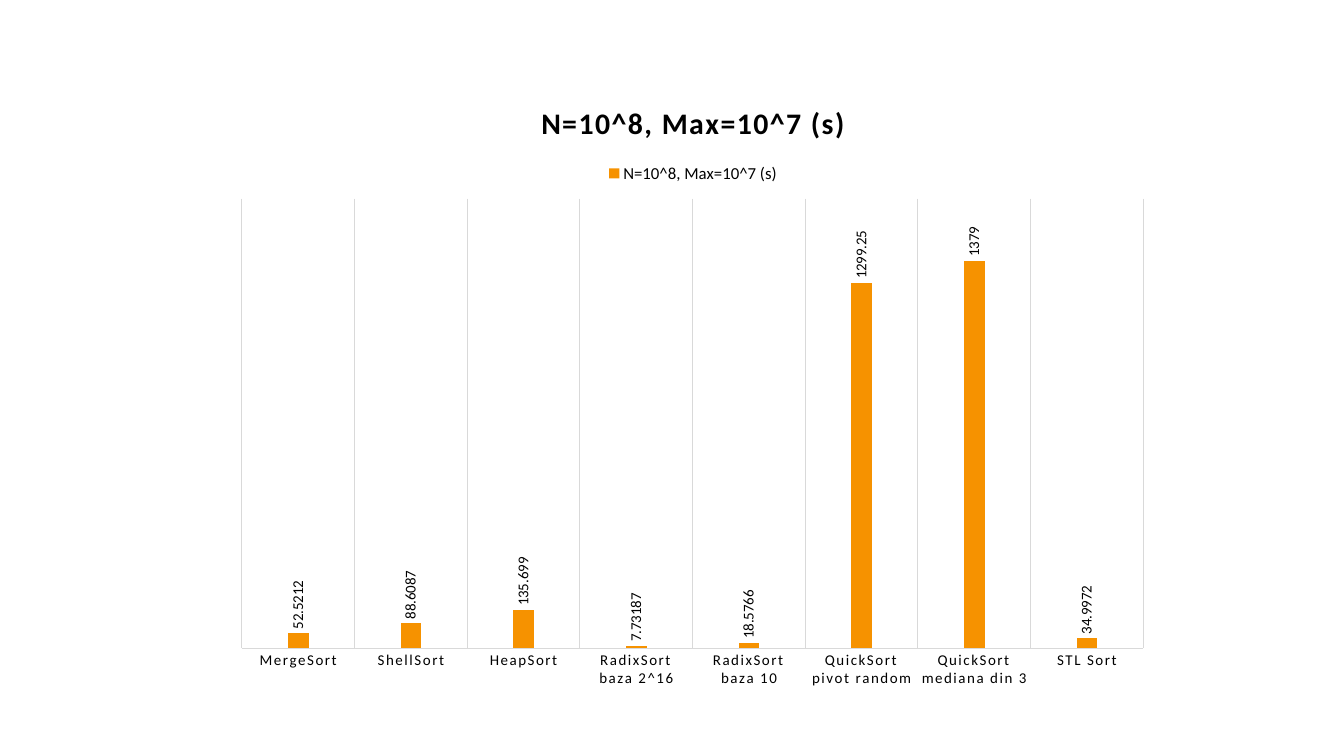
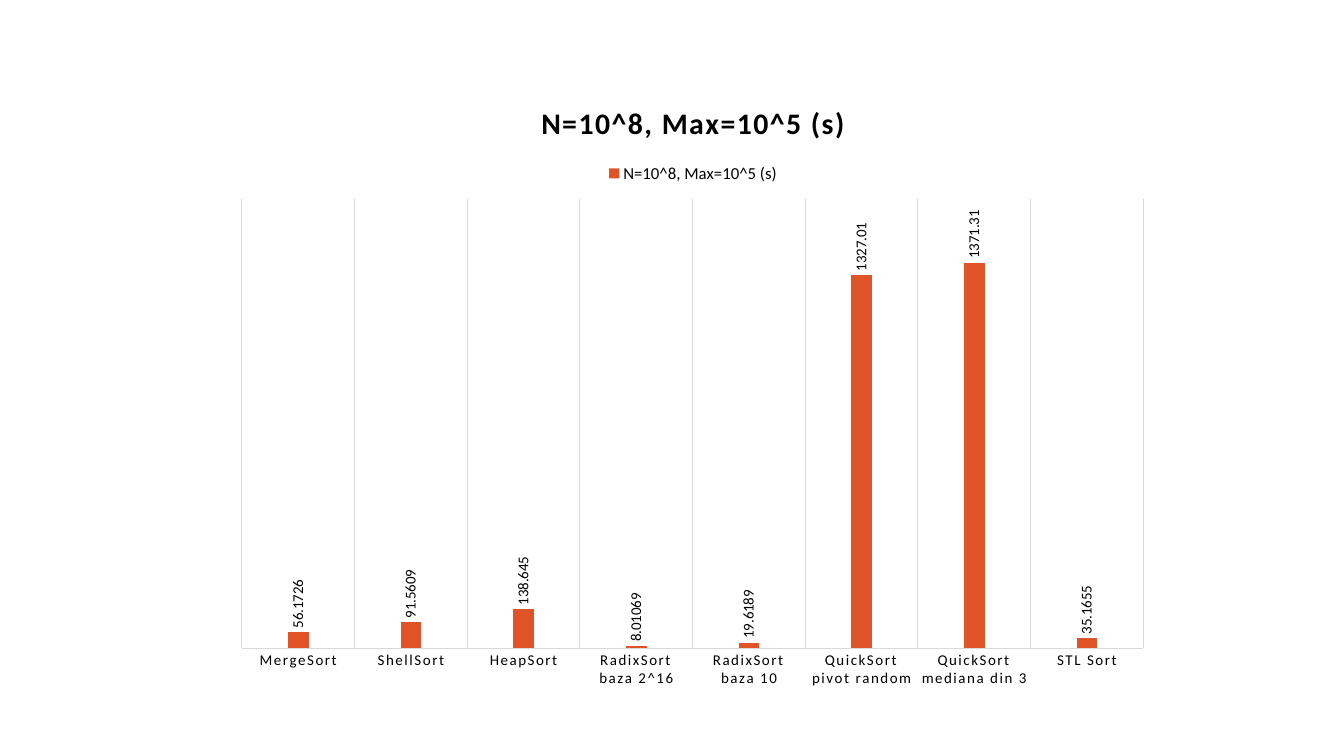
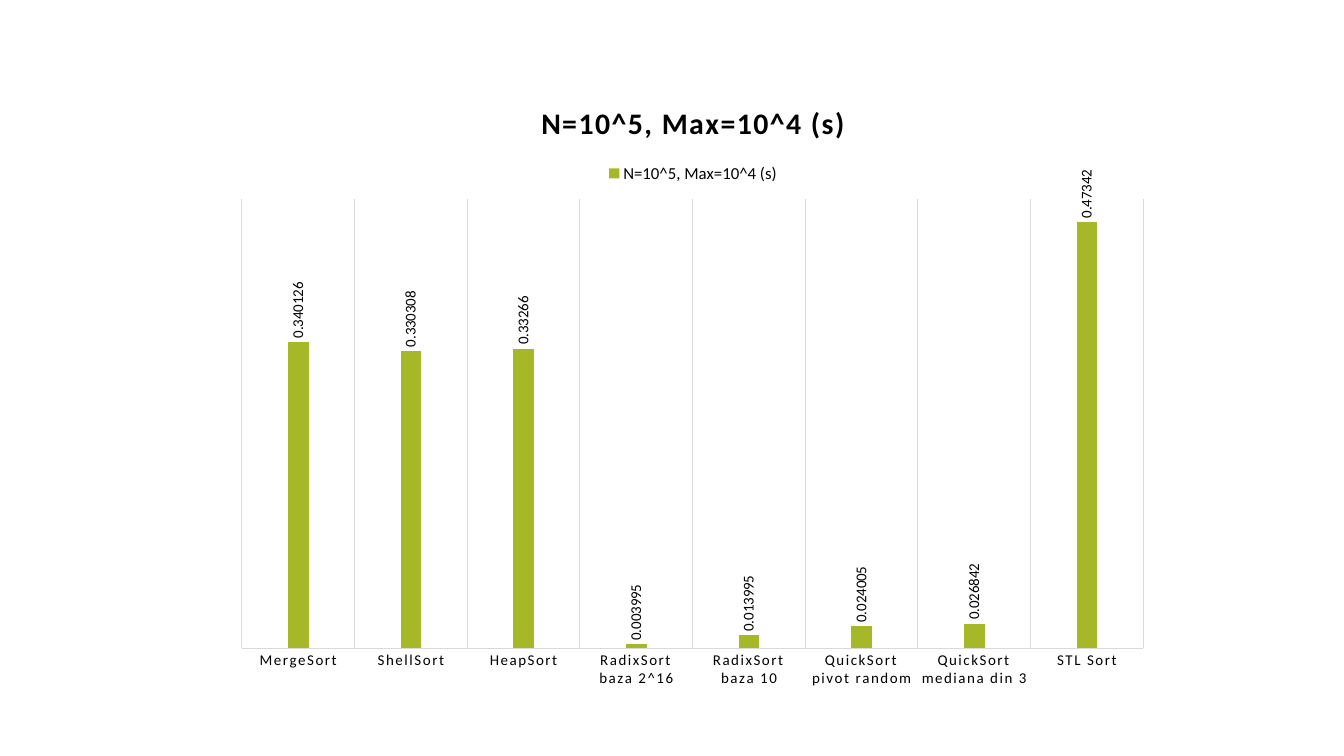
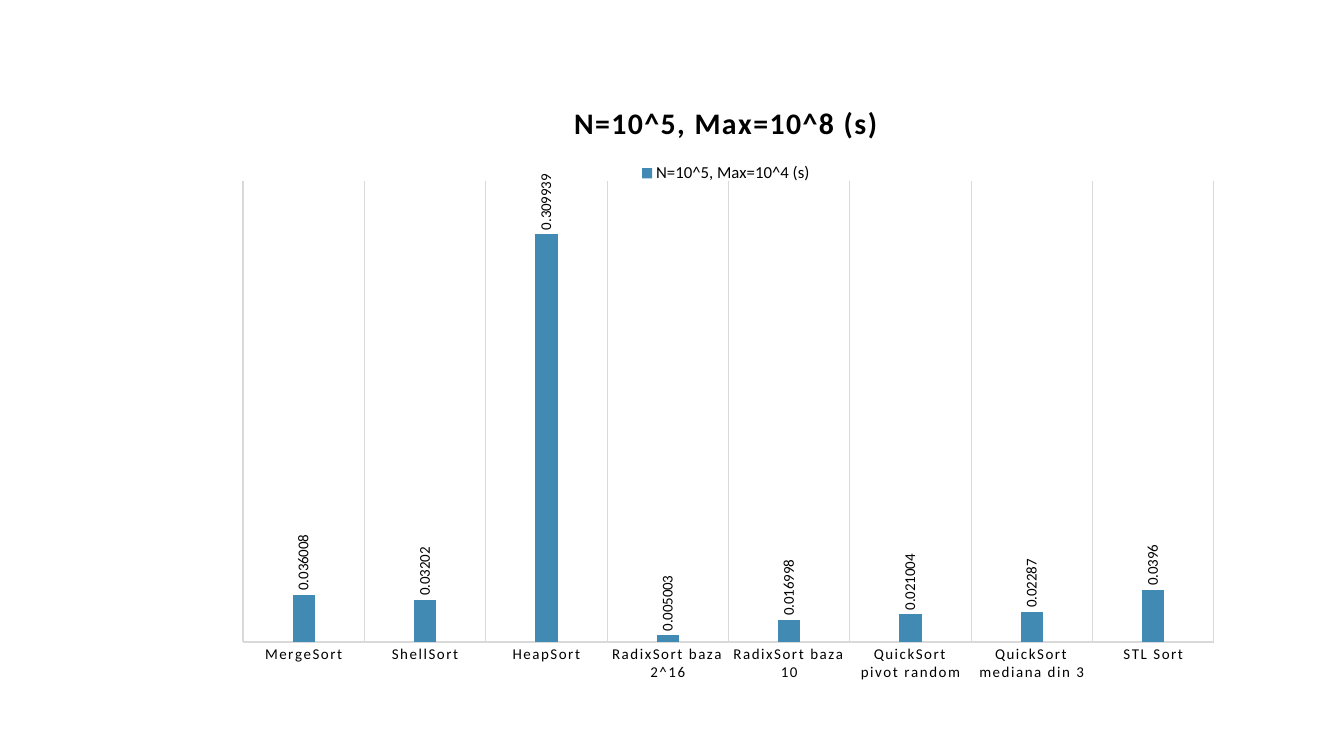
from dataclasses import dataclass

from lxml.etree import SubElement
from pptx import Presentation
from pptx.chart.chart import Chart
from pptx.chart.data import CategoryChartData
from pptx.dml.color import RGBColor
from pptx.enum.chart import XL_CHART_TYPE, XL_LABEL_POSITION, XL_LEGEND_POSITION, XL_TICK_MARK
from pptx.oxml.ns import qn
from pptx.slide import Slide
from pptx.text.text import Font, TextFrame
from pptx.util import Inches, Pt

BLACK = RGBColor(0x00, 0x00, 0x00)
GREY = RGBColor(0xD9, 0xD9, 0xD9)
ORANGE = RGBColor(0xF6, 0x92, 0x00)
RED = RGBColor(0xDF, 0x53, 0x27)
GREEN = RGBColor(0xA6, 0xB7, 0x27)
BLUE = RGBColor(0x41, 0x8A, 0xB3)
FACE = "Calibri"
SMALL = 10.64
LARGE = 21.28
SORTS = (
    "MergeSort", "ShellSort", "HeapSort", "RadixSort baza 2^16", "RadixSort baza 10",
    "QuickSort pivot random", "QuickSort mediana din 3", "STL Sort",
)


@dataclass(frozen=True)
class Frame:
    """Chart size and its inner plot area (left, top, width, height), in inches."""
    width: float
    height: float
    plot: tuple[float, float, float, float]


@dataclass(frozen=True)
class Test:
    """One timing test, shown on one slide."""
    title: str
    series: str
    color: RGBColor
    top: float
    times: tuple[float, ...]
    frame: Frame


BASE = Frame(9.31, 6.17, (0.18, 1.18, 8.94, 4.46))
WIDE = Frame(9.96, 6.1, (0.19, 1.01, 9.63, 4.57))
TESTS = (
    Test("N=10^8, Max=10^7 (s)", "N=10^8, Max=10^7 (s)", ORANGE, 1600,
         (52.5212, 88.6087, 135.699, 7.73187, 18.5766, 1299.25, 1379, 34.9972), BASE),
    Test("N=10^8, Max=10^5 (s)", "N=10^8, Max=10^5 (s)", RED, 1600,
         (56.1726, 91.5609, 138.645, 8.01069, 19.6189, 1327.01, 1371.31, 35.1655), BASE),
    Test("N=10^5, Max=10^4 (s)", "N=10^5, Max=10^4 (s)", GREEN, 0.5,
         (0.340126, 0.330308, 0.33266, 0.003995, 0.013995, 0.024005, 0.026842, 0.47342), BASE),
    Test("N=10^5, Max=10^8 (s)", "N=10^5, Max=10^4 (s)", BLUE, 0.35,
         (0.036008, 0.03202, 0.309939, 0.005003, 0.016998, 0.021004, 0.02287, 0.0396), WIDE),
)


def set_font(font: Font, size: float, bold: bool = False) -> None:
    """Give a font the shared face and colour."""
    font.name = FACE
    font.size = Pt(size)
    font.bold = bold
    font.color.rgb = BLACK


def write(frame: TextFrame, text: str, *, size: float, bold: bool = False) -> None:
    """Put formatted text in a text frame."""
    run = frame.paragraphs[0].add_run()
    run.text = text
    set_font(run.font, size, bold)


def mark(chart: Chart, query: str, **values: str) -> None:
    """Set attributes on the chart nodes that match a query."""
    for node in chart.element.xpath(query):
        for name, value in values.items():
            node.set(name, value)


def place_plot(chart: Chart, size: Frame) -> None:
    """Fix the inner plot area inside the chart."""
    area = chart.element.xpath("c:chart/c:plotArea")[0]
    for old in area.findall(qn("c:layout")):
        area.remove(old)
    layout = SubElement(area, qn("c:layout"))
    area.insert(0, layout)
    manual = SubElement(layout, qn("c:manualLayout"))
    parts = [("layoutTarget", "inner"), ("xMode", "edge"), ("yMode", "edge")]
    whole = (size.width, size.height) * 2
    parts += [(tag, str(part / full)) for tag, part, full in zip("xywh", size.plot, whole)]
    for tag, value in parts:
        SubElement(manual, qn(f"c:{tag}")).set("val", value)


def style_axes(chart: Chart, top: float) -> None:
    """Show sort names between grey lines and hide the time scale."""
    names = chart.category_axis
    names.major_tick_mark = names.minor_tick_mark = XL_TICK_MARK.NONE
    names.has_major_gridlines = True
    for line in (names.format.line, names.major_gridlines.format.line):
        line.color.rgb = GREY
        line.width = Pt(0.75)
    set_font(names.tick_labels.font, SMALL)
    mark(chart, "c:chart/c:plotArea/c:catAx/c:txPr//a:defRPr", spc="120")
    scale = chart.value_axis
    scale.visible = scale.has_major_gridlines = False
    scale.minimum_scale, scale.maximum_scale = 0, top


def style_bars(chart: Chart, color: RGBColor) -> None:
    """Colour the bars and stand their values upright above them."""
    plot = chart.plots[0]
    plot.gap_width, plot.overlap = 444, -90
    plot.vary_by_categories = False
    bars = plot.series[0]
    bars.format.fill.solid()
    bars.format.fill.fore_color.rgb = color
    labels = bars.data_labels
    labels.show_value = True
    labels.position = XL_LABEL_POSITION.OUTSIDE_END
    labels.number_format, labels.number_format_is_linked = "General", False
    set_font(labels.font, SMALL)
    mark(chart, ".//c:ser/c:dLbls/c:txPr/a:bodyPr", rot="-5400000", vert="horz")


def draw_test(slide: Slide, test: Test) -> None:
    """Draw the column chart of one test."""
    data = CategoryChartData()
    data.categories = SORTS
    data.add_series(test.series, test.times)
    size = test.frame
    chart = slide.shapes.add_chart(
        XL_CHART_TYPE.COLUMN_CLUSTERED, Inches(2.22), Inches(0.79),
        Inches(size.width), Inches(size.height), data,
    ).chart
    set_font(chart.font, 10)
    chart.has_title = True
    write(chart.chart_title.text_frame, test.title, size=LARGE, bold=True)
    chart.chart_title.include_in_layout = False
    mark(chart, "c:chart/c:title//a:rPr", spc="120")
    chart.has_legend = True
    chart.legend.position = XL_LEGEND_POSITION.TOP
    chart.legend.include_in_layout = False
    set_font(chart.legend.font, 12)
    style_axes(chart, test.top)
    style_bars(chart, test.color)
    place_plot(chart, size)


def main() -> None:
    """Build and save the deck."""
    deck = Presentation()
    deck.slide_width, deck.slide_height = Inches(13.33), Inches(7.5)
    blank = deck.slide_layouts.get_by_name("Blank")
    for test in TESTS:
        draw_test(deck.slides.add_slide(blank), test)
    deck.save("out.pptx")


main()
